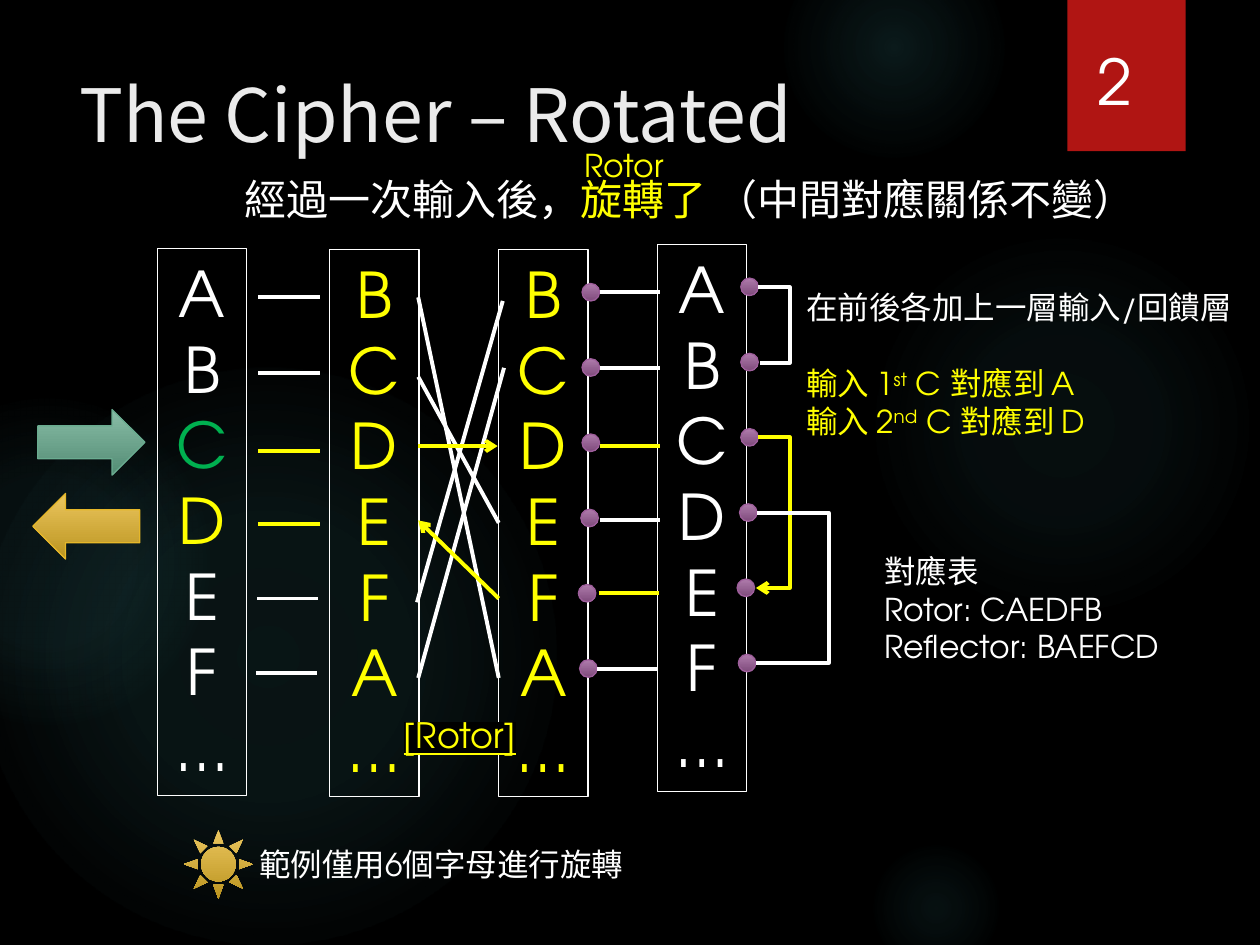
from lxml import etree
from pptx import Presentation
from pptx.dml.color import RGBColor
from pptx.enum.shapes import MSO_CONNECTOR, MSO_SHAPE
from pptx.enum.text import MSO_ANCHOR, PP_ALIGN
from pptx.oxml.ns import qn
from pptx.util import Pt

STRAIGHT, ELBOW = MSO_CONNECTOR.STRAIGHT, MSO_CONNECTOR.ELBOW
RECTANGLE, OVAL, SUN = MSO_SHAPE.RECTANGLE, MSO_SHAPE.OVAL, MSO_SHAPE.SUN
RIGHT_ARROW, LEFT_ARROW = MSO_SHAPE.RIGHT_ARROW, MSO_SHAPE.LEFT_ARROW
LEFT, CENTER, TOP = PP_ALIGN.LEFT, PP_ALIGN.CENTER, MSO_ANCHOR.TOP

LATIN, CHINESE = "TeX Gyre Adventor", "Noto Sans CJK SC"
WHITE, YELLOW, GREEN, BLACK = "FFFFFF", "FFFF00", "00B050", "000000"
GLOW = "50B9C1"
GOLD = [(0, "EBC65F", 100), (100, "BB941F", 100)]
TEAL = [(0, "89BDA7", 100), (100, "538C74", 100)]
PURPLE = [(0, "AF7CAC", 100), (100, "7F4B7C", 100)]

ROW_PITCH = 43
ROW_SHIFTS = [0, 0, 0, 0, -0.7, -1.4]
DOT_LEFTS = [332.6, 332.6, 332.6, 331.9, 330.5, 331.2]


def paint(color_format, color):
    """Apply a hex colour to a fill or a font."""
    if hasattr(color_format, "solid"):
        color_format.solid()
        color_format.fore_color.rgb = RGBColor.from_string(color)
    else:
        color_format.color.rgb = RGBColor.from_string(color)


def child(parent, tag, **attributes):
    """Append a DrawingML element and return it."""
    return etree.SubElement(parent, qn("a:" + tag), {k: str(v) for k, v in attributes.items()})


def add_gradient(shape, stops, circular=False):
    """Fill a shape with a downward or a circular gradient."""
    gradient = etree.Element(qn("a:gradFill"), rotWithShape="1")
    stop_list = child(gradient, "gsLst")
    for position, color, opacity in stops:
        stop = child(stop_list, "gs", pos=position * 1000)
        child(child(stop, "srgbClr", val=color), "alpha", val=opacity * 1000)
    if circular:
        path = child(gradient, "path", path="circle")
        child(path, "fillToRect", l=50000, t=50000, r=50000, b=50000)
    else:
        child(gradient, "lin", ang=5400000, scaled=0)
    shape._element.spPr.find(qn("a:prstGeom")).addnext(gradient)


def add_shape(slide, kind, box, fill=None, line=None, stops=None, circular=False):
    """Add a preset shape with a plain or gradient fill."""
    shape = slide.shapes.add_shape(kind, *map(Pt, box))
    shape.shadow.inherit = False
    if stops:
        add_gradient(shape, stops, circular)
    else:
        paint(shape.fill, fill)
    if line:
        paint(shape.line.fill, line)
        shape.line.width = Pt(0.75)
    else:
        shape.line.fill.background()
    return shape


def add_run(paragraph, text, color, size, raised=False, highlight=None, **extra):
    """Add a formatted run to a paragraph."""
    run = paragraph.add_run()
    run.text = text
    for name, value in {"name": LATIN, "size": Pt(size), **extra}.items():
        setattr(run.font, name, value)
    paint(run.font.fill, color)
    properties = run._r.get_or_add_rPr()
    latin = properties.find(qn("a:latin"))
    latin.addnext(etree.Element(qn("a:ea"), typeface=CHINESE))
    if raised:
        properties.set("baseline", "30000")
    if highlight:
        mark = etree.Element(qn("a:highlight"))
        child(mark, "srgbClr", val=highlight)
        latin.addprevious(mark)


def add_text(slide, box, lines, size=18, align=LEFT, wrap=True, **extra):
    """Add a text box whose lines are lists of (text, colour, raised) runs."""
    shape = slide.shapes.add_textbox(*map(Pt, box))
    frame = shape.text_frame
    frame.word_wrap = wrap
    for index, runs in enumerate(lines):
        paragraph = frame.paragraphs[0] if index == 0 else frame.add_paragraph()
        paragraph.alignment = align
        for text, color, *raised in runs:
            add_run(paragraph, text, color, size, bool(raised), **extra)
    return shape


def add_column(slide, left, top, letters, colors):
    """Add an outlined column of letters."""
    lines = [[pair] for pair in zip(letters, colors)]
    column = add_text(slide, (left, top, 51, 312.5), lines, 36, CENTER, False)
    paint(column.line.fill, WHITE)
    column.line.width = Pt(0.75)


def add_line(slide, start, end, color=WHITE, arrow=None, via=None):
    """Add a straight wire, or an elbow wire that turns at x = via."""
    kind = STRAIGHT if via is None else ELBOW
    line = slide.shapes.add_connector(kind, *map(Pt, (*start, *end)))
    paint(line.line.fill, color)
    line.line.width = Pt(2.25)
    properties = line._element.spPr
    if via is not None:
        ratio = (via - start[0]) / (end[0] - start[0])
        guides = properties.find(qn("a:prstGeom")).find(qn("a:avLst"))
        child(guides, "gd", name="adj1", fmla=f"val {round(ratio * 100000)}")
    if arrow:
        child(properties.find(qn("a:ln")), arrow, type="arrow")
    child(properties, "effectLst")


def add_backdrop(slide):
    """Add the black background, the soft glows and the page number tab."""
    paint(slide.background.fill, BLACK)
    for left, top, size, inner, middle, edge in [
        (496, 132, 222, 7, 6, 69), (448, -36, 126, 14, 7, 73), (496, 480, 78, 9, 5, 66),
        (-12, 210, 330, 11, 10, 75), (-66, 228, 186, 8, 8, 72),
    ]:
        stops = [(0, GLOW, inner), (36, GLOW, middle), (edge, GLOW, 0)]
        add_shape(slide, OVAL, (left, top, size, size), stops=stops, circular=True)
    add_shape(slide, RECTANGLE, (610, 0, 67.5, 86.4), "B01513")
    add_text(slide, (620, 21, 34.5, 51), [[("2", WHITE)]], 36, wrap=False)


def add_title(slide, text):
    """Place and format the title placeholder."""
    title = slide.shapes.title
    for name, value in {"left": 38, "top": 36, "width": 582, "height": 110}.items():
        setattr(title, name, Pt(value))
    title.text_frame.vertical_anchor = TOP
    paragraph = title.text_frame.paragraphs[0]
    paragraph.alignment = LEFT
    add_run(paragraph, text, "EBEBEB", 42, name=CHINESE)


def add_machine(slide):
    """Add the letter columns, the contact dots and the wires."""
    add_column(slide, 90, 142, "ABCDEF…", [WHITE] * 2 + [GREEN, YELLOW] + [WHITE] * 3)
    for left in (188.4, 285):
        add_column(slide, left, 142.6, "BCDEFA…", [YELLOW] * 7)
    add_column(slide, 375.7, 139.7, "ABCDEF…", [WHITE] * 7)

    for row, left in enumerate(DOT_LEFTS):
        for across, down in ((0, 162), (90.7, 158.9)):
            box = (left + across, down + row * ROW_PITCH, 10, 10)
            add_shape(slide, OVAL, box, line="9E5E9B", stops=PURPLE)

    for left, length, heights, active_rows in [
        (147.6, 35, [169.9, 213, 257.6, 299.5, 342, 384.7], (2, 3)),
        (342.7, 34.6, [167, 210.2, 254.9, 297.4, 339.1, 382.1], (2, 4)),
    ]:
        for row, (shift, height) in enumerate(zip(ROW_SHIFTS, heights)):
            start = left + shift
            color = YELLOW if row in active_rows else WHITE
            add_line(slide, (start, height), (start + length, height), color)

    for start, end in [
        ((239, 387.4), (288, 210.2)), ((238.3, 344.2), (287.3, 172)),
        ((239, 169.9), (285, 387.4)), ((239, 215.3), (285, 298.8)),
    ]:
        add_line(slide, start, end)
    add_line(slide, (239, 254.9), (284.4, 254.9), YELLOW, "tailEnd")
    add_line(slide, (239, 297.4), (285, 342), YELLOW, "headEnd")

    add_line(slide, (433.4, 164.2), (434.4, 207.2), via=451.4)
    add_line(slide, (433.4, 249.8), (432, 336), YELLOW, "tailEnd", 451.4)
    add_line(slide, (432.7, 293), (432, 378.9), via=473)


def add_notes(slide):
    """Add the arrows, captions and explanations."""
    add_shape(slide, RIGHT_ARROW, (21.6, 234, 61.2, 37.5), line="6AAC90", stops=TEAL)
    add_shape(slide, LEFT_ARROW, (18.7, 282, 61.2, 37.5), line="E6B729", stops=GOLD)
    add_shape(slide, SUN, (105, 474, 39.6, 39.6), stops=GOLD)
    add_text(slide, (141, 479.5, 459, 29), [[("範例僅用6個字母進行旋轉", WHITE)]])
    add_text(slide, (132.5, 95.8, 572, 36), [[
        ("經過一次輸入後，", WHITE), ("旋轉了", YELLOW), (" （中間對應關係不變）", WHITE)]], 24)
    add_text(slide, (319.7, 80, 74, 29), [[("Rotor", YELLOW)]], align=CENTER)
    add_text(slide, (222.5, 404, 80.6, 31.5), [[("[Rotor]", YELLOW)]], 20, CENTER,
             underline=True, highlight=BLACK)
    mapping = add_text(slide, (453.6, 161.3, 266.4, 138), [
        [("在前後各加上一層輸入/回饋層", WHITE)],
        [("輸入 1", YELLOW), ("st", YELLOW, True), (" C 對應到 A", YELLOW)],
        [("輸入 2", YELLOW), ("nd", YELLOW, True), (" C 對應到 D", YELLOW)],
    ])
    mapping.text_frame.paragraphs[1].space_before = Pt(21.6)
    table_lines = ["對應表", "Rotor: CAEDFB", "Reflector: BAEFCD"]
    add_text(slide, (498.2, 311.8, 262.8, 72.7), [[(line, WHITE)] for line in table_lines])


def main():
    """Build and save the slide."""
    presentation = Presentation()
    presentation.slide_width, presentation.slide_height = Pt(720), Pt(540)
    slide = presentation.slides.add_slide(presentation.slide_layouts[5])
    add_backdrop(slide)
    add_title(slide, "The Cipher – Rotated")
    add_machine(slide)
    add_notes(slide)
    presentation.save("out.pptx")


if __name__ == "__main__":
    main()
